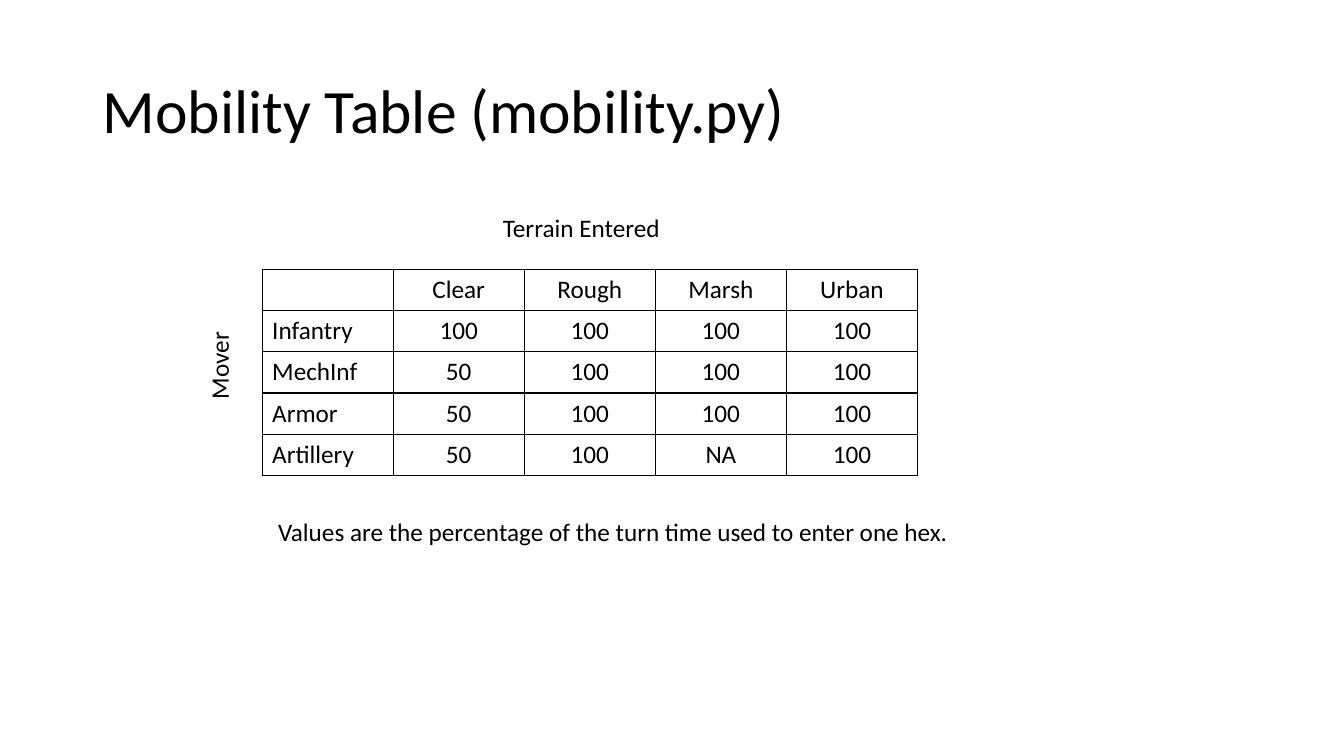
from typing import NamedTuple

from lxml import etree
from pptx import Presentation
from pptx.dml.color import RGBColor
from pptx.enum.text import MSO_ANCHOR, MSO_AUTO_SIZE, PP_ALIGN
from pptx.oxml.ns import qn
from pptx.util import Inches, Pt

LEFT, CENTER = PP_ALIGN.LEFT, PP_ALIGN.CENTER
TOP, MIDDLE = MSO_ANCHOR.TOP, MSO_ANCHOR.MIDDLE
FIT_SHAPE, NO_FIT = MSO_AUTO_SIZE.SHAPE_TO_FIT_TEXT, MSO_AUTO_SIZE.NONE
FONT = "Calibri"
BLACK = "000000"
COLUMN_WIDTH, ROW_HEIGHT = 1.3, 0.41

MOBILITY = [
    ["", "Clear", "Rough", "Marsh", "Urban"],
    ["Infantry", "100", "100", "100", "100"],
    ["MechInf", "50", "100", "100", "100"],
    ["Armor", "50", "100", "100", "100"],
    ["Artillery", "50", "100", "NA", "100"],
]


class Label(NamedTuple):
    text: str
    left: float
    top: float
    width: float
    height: float = 0.4
    rotation: float = 0


TITLE = Label("Mobility Table (mobility.py)", 0.92, 0.4, 11.5, 1.45)
LABELS = [
    Label("Mover", 1.73, 3.42, 0.88, rotation=270),
    Label("Terrain Entered", 4.89, 2.06, 1.77),
    Label("Values are the percentage of the turn time used to enter one hex.",
          2.66, 5.07, 6.87),
]


def write_text(frame, text: str, *, size: float = 18, color: str = BLACK,
               align=LEFT, line_spacing: float = 1.0) -> None:
    paragraph = frame.paragraphs[0]
    paragraph.alignment = align
    paragraph.line_spacing = line_spacing
    run = paragraph.add_run()
    run.text = text
    run.font.name = FONT
    run.font.size = Pt(size)
    run.font.color.rgb = RGBColor.from_string(color)


def add_label(slide, label: Label, *, wrap: bool = False, anchor=TOP,
              fit=FIT_SHAPE, **text_format) -> None:
    shape = slide.shapes.add_textbox(
        Inches(label.left), Inches(label.top), Inches(label.width), Inches(label.height))
    shape.rotation = label.rotation
    frame = shape.text_frame
    frame.word_wrap = wrap
    frame.auto_size = fit
    frame.vertical_anchor = anchor
    write_text(frame, label.text, **text_format)


def add_borders(cell, color: str = BLACK, width: float = 1) -> None:
    properties = cell._tc.get_or_add_tcPr()
    for side in ("lnL", "lnR", "lnT", "lnB"):
        line = etree.SubElement(properties, qn(f"a:{side}"), w=str(Pt(width)))
        fill = etree.SubElement(line, qn("a:solidFill"))
        etree.SubElement(fill, qn("a:srgbClr"), val=color)


def add_mobility_table(slide, left: float, top: float) -> None:
    row_count, column_count = len(MOBILITY), len(MOBILITY[0])
    table = slide.shapes.add_table(
        row_count, column_count, Inches(left), Inches(top),
        Inches(column_count * COLUMN_WIDTH), Inches(row_count * ROW_HEIGHT)).table
    table.first_row = False
    table.horz_banding = False
    for column in table.columns:
        column.width = Inches(COLUMN_WIDTH)
    for row, values in zip(table.rows, MOBILITY):
        row.height = Inches(ROW_HEIGHT)
        for index, (cell, value) in enumerate(zip(row.cells, values)):
            add_borders(cell)
            cell.fill.background()
            if value:
                write_text(cell.text_frame, value, align=CENTER if index else LEFT)


def main() -> None:
    presentation = Presentation()
    presentation.slide_width = Inches(13.33)
    presentation.slide_height = Inches(7.5)
    slide = presentation.slides.add_slide(presentation.slide_layouts[6])

    # Title
    add_label(slide, TITLE, wrap=True, anchor=MIDDLE, fit=NO_FIT,
              size=44, line_spacing=0.9)

    # Mobility values by mover and terrain
    add_mobility_table(slide, 2.6, 2.67)

    # Axis names and footnote
    for label in LABELS:
        add_label(slide, label)

    presentation.save("out.pptx")


if __name__ == "__main__":
    main()
